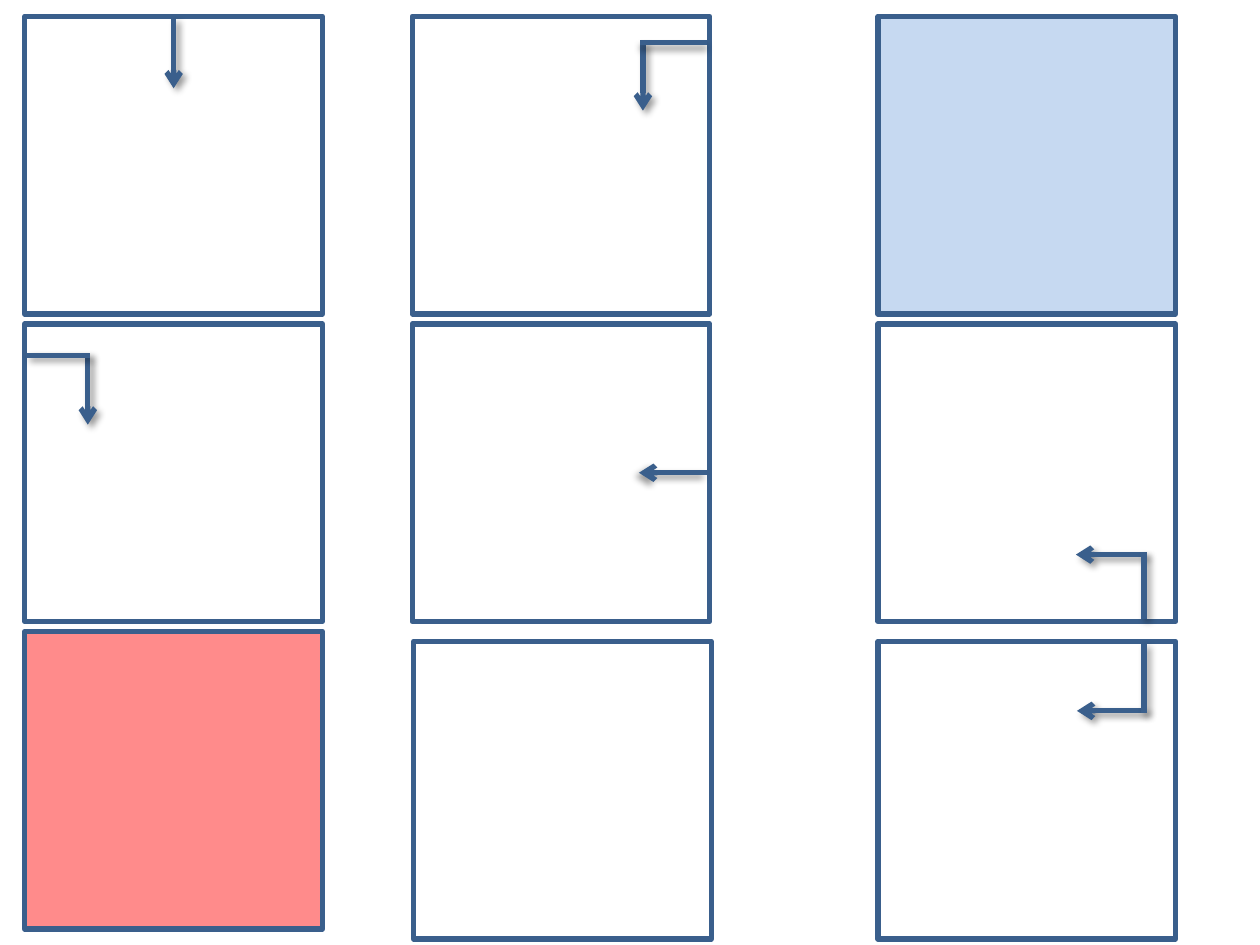
from lxml import etree
from pptx import Presentation
from pptx.dml.color import RGBColor
from pptx.enum.shapes import MSO_CONNECTOR, MSO_SHAPE
from pptx.oxml.ns import qn
from pptx.util import Cm, Pt

RECT = MSO_SHAPE.RECTANGLE
STRAIGHT = MSO_CONNECTOR.STRAIGHT

NAVY = RGBColor(0x3A, 0x5F, 0x8C)
WHITE = RGBColor(0xFF, 0xFF, 0xFF)
PALE_BLUE = RGBColor(0xC6, 0xD9, 0xF1)
CORAL = RGBColor(0xFF, 0x8B, 0x8B)

SIDE = 6
LEFT, MIDDLE, RIGHT = 0.5, 8.31, 17.7
TOP, CENTRE = 0.33, 6.53
LOW_LEFT, LOW = 12.73, 12.93

# Left, top, fill, then lines inside the tile in cm:
# (x1, y1, x2, y2, has arrowhead, shadow angle)
TILES = [
    (RIGHT, TOP, PALE_BLUE, []),
    (MIDDLE + 0.03, LOW, WHITE, []),
    (LEFT, TOP, WHITE, [(3, 0.05, 3, 1.45, True, 45)]),
    (MIDDLE, TOP, WHITE, [(4.65, 0.51, 4.65, 1.9, True, 45),
                          (5.94, 0.53, 4.6, 0.53, False, 90)]),
    (RIGHT, CENTRE, WHITE, [(5.38, 4.65, 3.99, 4.65, True, 45),
                            (5.36, 5.94, 5.36, 4.6, False, 45)]),
    (MIDDLE, CENTRE, WHITE, [(5.94, 3, 4.57, 3, True, 135)]),
    (RIGHT, LOW, WHITE, [(5.41, 1.4, 4.01, 1.4, True, 45),
                         (5.36, 0.05, 5.36, 1.45, False, 45)]),
    (LEFT, CENTRE, WHITE, [(1.27, 0.64, 1.27, 2.03, True, 45),
                           (0.03, 0.64, 1.32, 0.64, False, 45)]),
    (LEFT, LOW_LEFT, CORAL, []),
]


def style_line(line):
    """Apply the common outline."""
    line.color.rgb = NAVY
    line.width = Pt(3)


def add_shadow(sp, angle):
    """Give a connector a soft shadow falling at the angle in degrees."""
    effects = etree.SubElement(sp._element.spPr, qn("a:effectLst"))
    shadow = etree.SubElement(
        effects, qn("a:outerShdw"), blurRad=str(Pt(4)), dist=str(Pt(3)),
        dir=str(angle * 60000), rotWithShape="0")
    color = etree.SubElement(shadow, qn("a:srgbClr"), val="000000")
    etree.SubElement(color, qn("a:alpha"), val="40000")


def add_path_line(shapes, left, top, x1, y1, x2, y2, has_head, angle):
    """Draw one path segment relative to the tile's corner."""
    sp = shapes.add_connector(STRAIGHT, Cm(left + x1), Cm(top + y1),
                              Cm(left + x2), Cm(top + y2))
    style_line(sp.line)
    if has_head:
        etree.SubElement(sp.line._get_or_add_ln(), qn("a:tailEnd"), type="arrow")
    add_shadow(sp, angle)


def add_tile(slide, left, top, fill, lines):
    """Draw a square tile, grouped with its path if it has one."""
    shapes = slide.shapes.add_group_shape().shapes if lines else slide.shapes
    sp = shapes.add_shape(RECT, Cm(left), Cm(top), Cm(SIDE), Cm(SIDE))
    sp.shadow.inherit = False
    sp.fill.solid()
    sp.fill.fore_color.rgb = fill
    style_line(sp.line)
    for line in lines:
        add_path_line(shapes, left, top, *line)


def main():
    """Build the slide of path tiles."""
    prs = Presentation()
    prs.slide_width, prs.slide_height = Cm(25.4), Cm(19.05)
    slide = prs.slides.add_slide(prs.slide_layouts[6])
    for tile in TILES:
        add_tile(slide, *tile)
    prs.save("out.pptx")


main()
